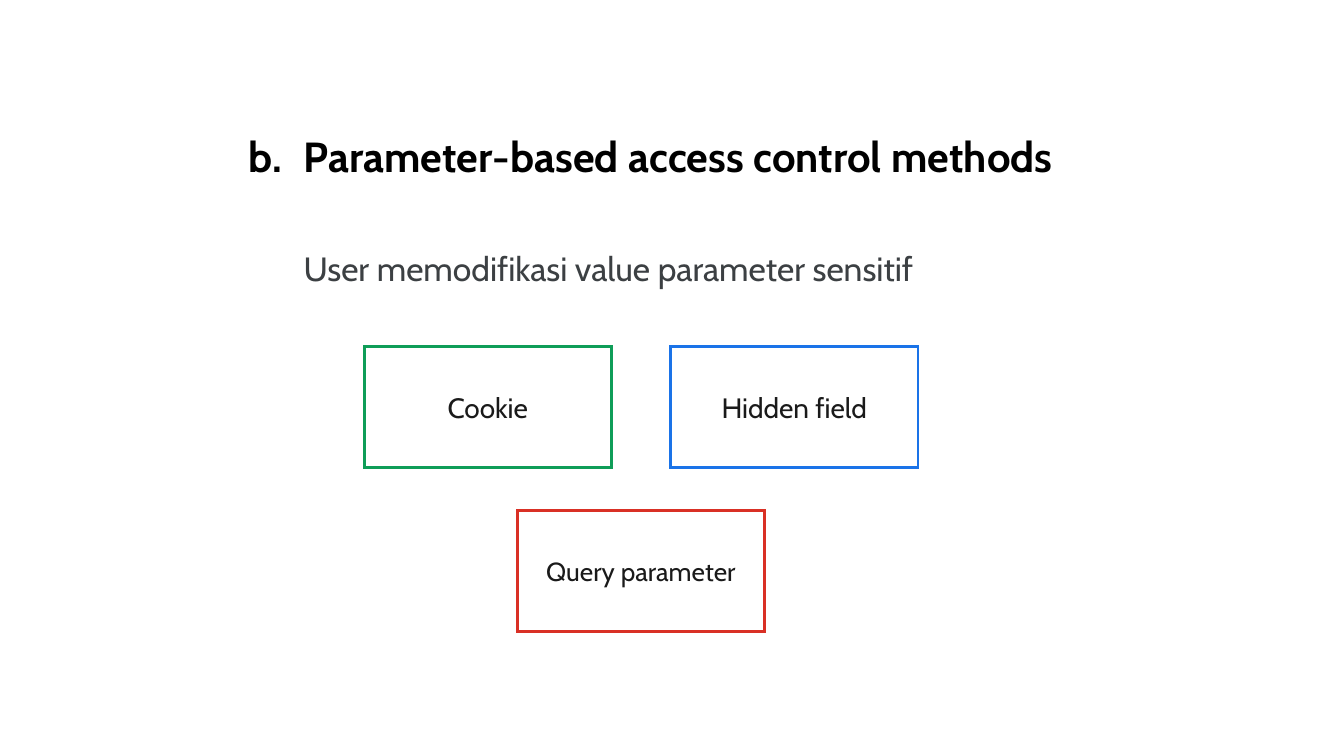
from dataclasses import dataclass

from lxml import etree
from pptx import Presentation
from pptx import util as u
from pptx.dml.color import RGBColor
from pptx.enum import shapes, text
from pptx.oxml.ns import qn


@dataclass(frozen=True)
class Theme:
    font: str = "Cabin"
    title_color: str = "000000"
    body_color: str = "3C4043"
    box_color: str = "1A1A1A"
    box_fill: str = "FFFFFF"
    green: str = "0F9D58"
    blue: str = "1A73E8"
    red: str = "D93025"
    title_size: float = 22.5
    body_size: float = 18
    box_size: float = 15
    small_box_size: float = 14
    line_width: float = 1.5


@dataclass(frozen=True)
class Box:
    label: str
    column: float
    row: int
    color: str
    size: float


THEME = Theme()
SLIDE_WIDTH = 10
SLIDE_HEIGHT = SLIDE_WIDTH * 9 / 16
LEFT, TOP = 2.71, 2.58
WIDTH, HEIGHT = 1.84, 0.9
COLUMN_STEP, ROW_STEP = 2.28, 1.22

# The last box sits midway between the two columns
BOXES = [
    Box("Hidden field", 1, 0, THEME.blue, THEME.box_size),
    Box("Cookie", 0, 0, THEME.green, THEME.box_size),
    Box("Query parameter", 0.5, 1, THEME.red, THEME.small_box_size),
]


def set_margins(frame, inset: float) -> None:
    frame.margin_left = frame.margin_right = u.Inches(inset)
    frame.margin_top = frame.margin_bottom = u.Inches(inset)
    frame.word_wrap = True


def add_run(paragraph, words: str, size: float, color: str, bold: bool = False) -> None:
    run = paragraph.add_run()
    run.text = words
    run.font.name = THEME.font
    run.font.size = u.Pt(size)
    run.font.bold = bold
    run.font.color.rgb = RGBColor.from_string(color)


def number_paragraph(paragraph, start: int, color: str) -> None:
    """Give the paragraph a hanging letter such as 'b.'."""
    properties = paragraph._p.get_or_add_pPr()
    properties.set("marL", str(u.Inches(0.5)))
    properties.set("indent", str(u.Inches(-0.41)))
    bullet_color = etree.SubElement(properties, qn("a:buClr"))
    etree.SubElement(bullet_color, qn("a:srgbClr"), val=color)
    etree.SubElement(properties, qn("a:buFont"), typeface=THEME.font)
    etree.SubElement(properties, qn("a:buAutoNum"), type="alphaLcPeriod", startAt=str(start))


def add_title(slide, words: str) -> None:
    title = slide.shapes.title
    title.left, title.top = u.Inches(1.66), u.Inches(0.87)
    title.width, title.height = u.Inches(7.3), u.Inches(0.63)
    frame = title.text_frame
    set_margins(frame, 0.1)
    frame.auto_size = text.MSO_AUTO_SIZE.NONE
    frame.vertical_anchor = text.MSO_ANCHOR.TOP
    paragraph = frame.paragraphs[0]
    paragraph.alignment = text.PP_ALIGN.LEFT
    number_paragraph(paragraph, 2, THEME.title_color)
    add_run(paragraph, words, THEME.title_size, THEME.title_color, bold=True)


def add_sentence(slide, words: str) -> None:
    shape = slide.shapes.add_textbox(u.Inches(2.16), u.Inches(1.7), u.Inches(5.21), u.Inches(0.5))
    frame = shape.text_frame
    set_margins(frame, 0.1)
    frame.auto_size = text.MSO_AUTO_SIZE.SHAPE_TO_FIT_TEXT
    paragraph = frame.paragraphs[0]
    paragraph.line_spacing = 1.15
    paragraph.space_after = u.Pt(12)
    add_run(paragraph, words, THEME.body_size, THEME.body_color)


def add_box(slide, box: Box) -> None:
    shape = slide.shapes.add_shape(
        shapes.MSO_SHAPE.ROUNDED_RECTANGLE,
        u.Inches(LEFT + box.column * COLUMN_STEP),
        u.Inches(TOP + box.row * ROW_STEP),
        u.Inches(WIDTH),
        u.Inches(HEIGHT),
    )
    shape.adjustments[0] = 0
    shape.shadow.inherit = False
    shape.fill.solid()
    shape.fill.fore_color.rgb = RGBColor.from_string(THEME.box_fill)
    shape.line.color.rgb = RGBColor.from_string(box.color)
    shape.line.width = u.Pt(THEME.line_width)
    # Sharp outline corners
    outline = shape._element.spPr.find(qn("a:ln"))
    etree.SubElement(outline, qn("a:miter"), lim="800000")
    frame = shape.text_frame
    set_margins(frame, 0)
    frame.vertical_anchor = text.MSO_ANCHOR.MIDDLE
    paragraph = frame.paragraphs[0]
    paragraph.alignment = text.PP_ALIGN.CENTER
    add_run(paragraph, box.label, box.size, THEME.box_color)


def main() -> None:
    presentation = Presentation()
    presentation.slide_width = u.Inches(SLIDE_WIDTH)
    presentation.slide_height = u.Inches(SLIDE_HEIGHT)
    slide = presentation.slides.add_slide(presentation.slide_layouts.get_by_name("Title Only"))

    # Heading and explanation
    add_title(slide, "Parameter-based access control methods")
    add_sentence(slide, "User memodifikasi value parameter sensitif")

    # Places where the parameter may be kept
    for box in BOXES:
        add_box(slide, box)

    presentation.save("out.pptx")


if __name__ == "__main__":
    main()
